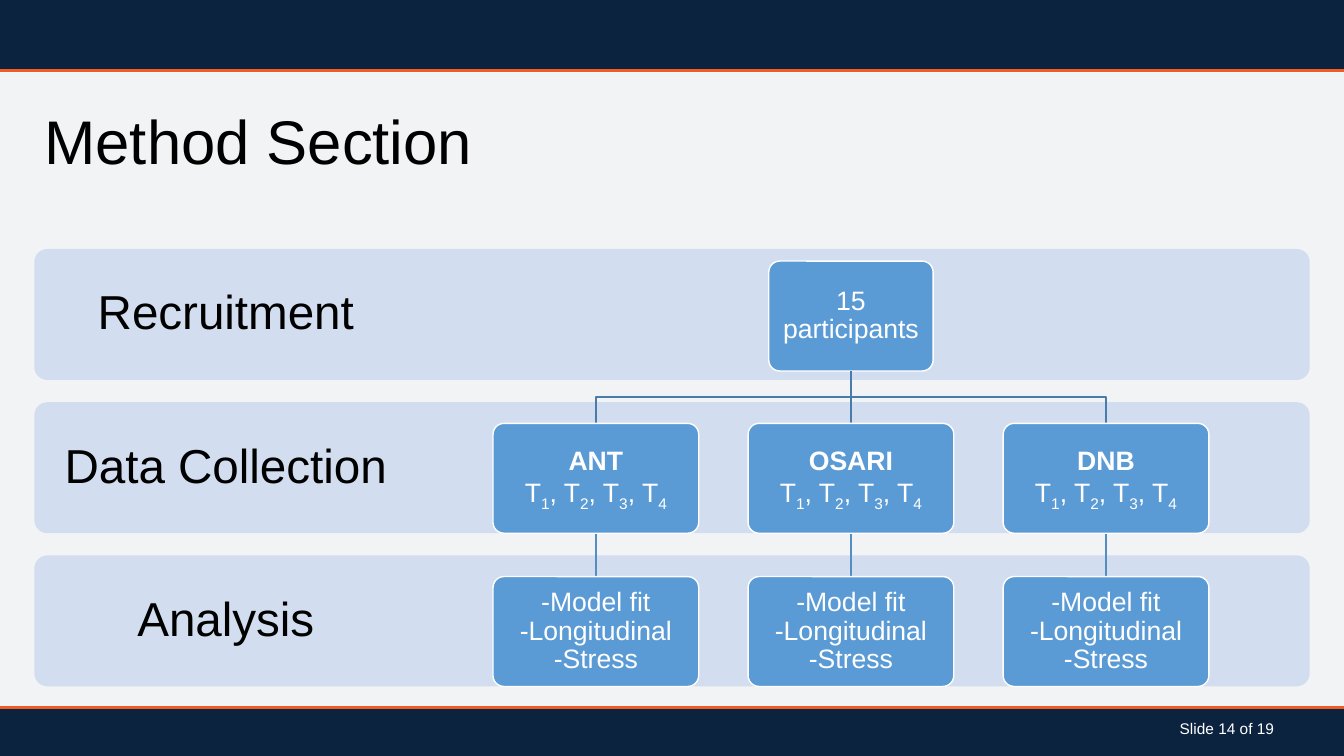
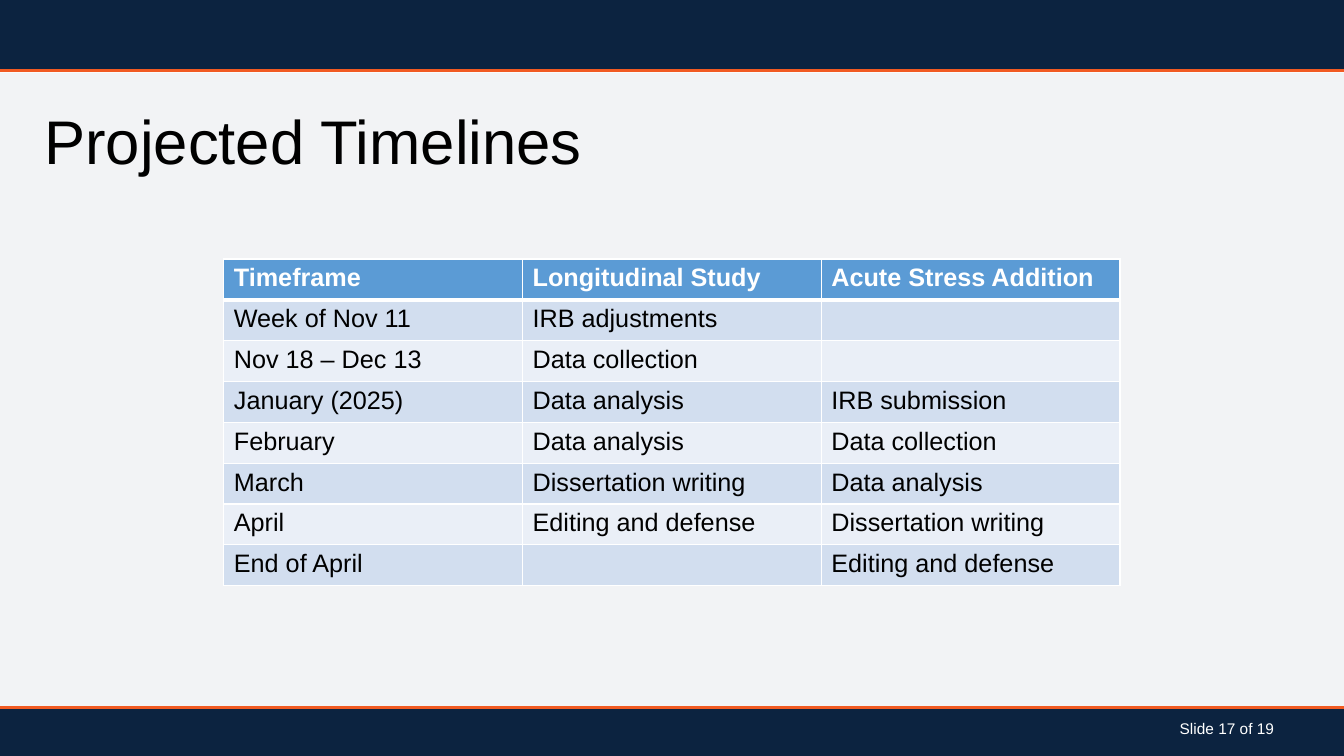
"""Build a two-slide research deck: a study-method diagram and a timeline table."""
import dataclasses

import lxml.etree
import pptx
import pptx.dml.color
import pptx.enum.shapes
import pptx.enum.text
import pptx.oxml.ns
import pptx.util

Inches = pptx.util.Inches
Pt = pptx.util.Pt
qn = pptx.oxml.ns.qn
SHAPE = pptx.enum.shapes.MSO_SHAPE
ALIGN = pptx.enum.text.PP_ALIGN
ANCHOR = pptx.enum.text.MSO_ANCHOR


@dataclasses.dataclass(frozen=True)
class Theme:
    font: str = "Arial"
    navy: str = "0C2340"
    orange: str = "F15A22"
    blue: str = "5B9BD5"
    band: str = "D2DEEF"
    pale: str = "EAEFF7"
    branch: str = "497CAB"
    stem: str = "538DC1"
    white: str = "FFFFFF"
    black: str = "000000"
    title: int = 44
    label: int = 34
    card: int = 19
    cell: int = 18
    footer: int = 11


def rgb(value):
    return pptx.dml.color.RGBColor.from_string(value)


class Deck:
    def __init__(self, theme, width=13.33, height=7.5):
        self.theme = theme
        self.width = width
        self.prs = pptx.Presentation()
        self.prs.slide_width = Inches(width)
        self.prs.slide_height = Inches(height)
        self.layout = self.prs.slide_layouts[1]
        self.s = None

    def add_slide(self, title, footer):
        t = self.theme
        self.s = self.prs.slides.add_slide(self.layout)
        self.placeholder(0, (0.34, 0.88, 12.65, 1.1), title, t.title, t.black,
                         ALIGN.LEFT, ANCHOR.MIDDLE)
        p = self.placeholder(1, (11.01, 7.1, 2.32, 0.3), footer, t.footer,
                             t.white, ALIGN.CENTER, ANCHOR.TOP)
        p.space_before = Pt(10)
        pPr = p._p.get_or_add_pPr()
        pPr.set("marL", "0")
        pPr.set("indent", "0")
        lxml.etree.SubElement(pPr, qn("a:buNone"))

    def placeholder(self, idx, box, text, size, color, align, anchor):
        sp = self.s.placeholders[idx]
        sp.left, sp.top, sp.width, sp.height = map(Inches, box)
        tf = sp.text_frame
        tf.auto_size = pptx.enum.text.MSO_AUTO_SIZE.NONE
        tf.vertical_anchor = anchor
        p = tf.paragraphs[0]
        p.alignment = align
        p.line_spacing = 0.9
        self.run(p, text, size, color)
        return p

    def run(self, p, text, size, color, bold=False, sub=False):
        r = p.add_run()
        r.text = text
        r.font.name = self.theme.font
        r.font.size = Pt(size)
        r.font.color.rgb = rgb(color)
        r.font.bold = bold
        if sub:
            r.font._element.set("baseline", "-25000")

    def shape(self, kind, box, fill, line=None):
        sp = self.s.shapes.add_shape(kind, *map(Inches, box))
        sp.shadow.inherit = False
        sp.fill.solid()
        sp.fill.fore_color.rgb = rgb(fill)
        if line:
            sp.line.color.rgb = rgb(line)
            sp.line.width = Pt(1)
        else:
            sp.line.fill.background()
        return sp

    def line(self, start, end, color, width=1):
        cn = self.s.shapes.add_connector(
            pptx.enum.shapes.MSO_CONNECTOR.STRAIGHT,
            *map(Inches, (*start, *end)))
        cn.line.color.rgb = rgb(color)
        cn.line.width = Pt(width)
        lxml.etree.SubElement(cn.element.spPr, qn("a:effectLst"))
        return cn

    def elbow(self, start, end, color):
        (x1, y1), (x2, y2) = start, end
        mid = (y1 + y2) / 2
        fb = self.s.shapes.build_freeform(Inches(x1), Inches(y1))
        fb.add_line_segments(
            [(Inches(x), Inches(y)) for x, y in ((x1, mid), (x2, mid), end)],
            close=False)
        sp = fb.convert_to_shape()
        sp.shadow.inherit = False
        sp.fill.background()
        sp.line.color.rgb = rgb(color)
        sp.line.width = Pt(1)

    def frame(self):
        t, w = self.theme, self.width
        tint = self.shape(SHAPE.RECTANGLE, (0, 0.72, w, 6.29), t.navy)
        clr = tint.element.spPr.find(".//" + qn("a:srgbClr"))
        lxml.etree.SubElement(clr, qn("a:alpha")).set("val", "5000")
        parts = [tint]
        for top, height in ((7.03, 0.47), (0, 0.69)):
            parts.append(self.shape(SHAPE.RECTANGLE, (0, top, w, height), t.navy))
        for y in (0.7, 7.02):
            parts.append(self.line((0, y), (w, y), t.orange, 2))
        for i, part in enumerate(parts):
            part.element.xpath(".//p:cNvPr")[0].set("id", str(100 + i))
            self.layout.shapes.element.insert(2 + i, part.element)

    def rounded(self, box, fill, lines, size, color, inset, right=None, line=None):
        sp = self.shape(SHAPE.ROUNDED_RECTANGLE, box, fill, line)
        sp.adjustments[0] = 0.1
        tf = sp.text_frame
        tf.word_wrap = True
        tf.vertical_anchor = ANCHOR.MIDDLE
        tf.margin_left = tf.margin_top = tf.margin_bottom = Inches(inset)
        tf.margin_right = Inches(inset if right is None else right)
        for i, runs in enumerate(lines):
            p = tf.add_paragraph() if i else tf.paragraphs[0]
            p.alignment = ALIGN.CENTER
            p.line_spacing = 0.9
            for text, style in runs:
                self.run(p, text, size, color, **style)

    def band(self, box, label, label_width):
        t = self.theme
        self.rounded(box, t.band, [[(label, {})]], t.label, t.black, 0.2,
                     right=box[2] - label_width + 0.2)

    def card(self, center, top, width, height, lines):
        t = self.theme
        self.rounded((center - width / 2, top, width, height), t.blue, lines,
                     t.card, t.white, 0.08, line=t.white)

    def border(self, cell, side, width):
        ln = lxml.etree.SubElement(cell._tc.get_or_add_tcPr(), qn("a:" + side))
        ln.set("w", str(Pt(width)))
        fill = lxml.etree.SubElement(ln, qn("a:solidFill"))
        lxml.etree.SubElement(fill, qn("a:srgbClr")).set("val", self.theme.white)

    def table(self, box, rows):
        t = self.theme
        tbl = self.s.shapes.add_table(len(rows), len(rows[0]),
                                      *map(Inches, box)).table
        tbl.horz_banding = False
        for i, row in enumerate(rows):
            head = i == 0
            fill = t.blue if head else (t.band if i % 2 else t.pale)
            widths = {"lnL": 1, "lnR": 1, "lnT": 3 if i == 1 else 1,
                      "lnB": 3 if head else 1}
            for j, text in enumerate(row):
                cell = tbl.cell(i, j)
                for side, width in widths.items():
                    self.border(cell, side, width)
                cell.fill.solid()
                cell.fill.fore_color.rgb = rgb(fill)
                if text:
                    self.run(cell.text_frame.paragraphs[0], text, t.cell,
                             t.white if head else t.black, bold=head)


def method_slide(deck):
    t = deck.theme
    deck.add_slide("Method Section", "Slide 14 of 19")
    deck.frame()
    tops = [2.47 + 1.52 * i for i in range(3)]
    for top, label in zip(tops, ("Recruitment", "Data Collection", "Analysis")):
        deck.band((0.34, top, 12.65, 1.3), label, 3.8)

    card_w, card_h = 2.04, 1.09
    root_x, root_y = 8.44, tops[0] + 0.12
    task_y, analysis_y = tops[1] + 0.21, tops[2] + 0.21
    times = []
    for n in range(1, 5):
        times += [(", T" if n > 1 else "T", {}), (str(n), {"sub": True})]
    analyses = [[(text, {})] for text in ("-Model fit", "-Longitudinal", "-Stress")]

    deck.card(root_x, root_y, 1.63, card_h, [[("15 participants", {})]])
    for i, task in enumerate(("ANT", "OSARI", "DNB")):
        x = root_x + 2.53 * (i - 1)
        link = deck.line if x == root_x else deck.elbow
        link((root_x, root_y + card_h), (x, task_y), t.branch)
        deck.line((x, task_y + card_h), (x, analysis_y), t.stem)
        deck.card(x, task_y, card_w, card_h, [[(task, {"bold": True})], times])
        deck.card(x, analysis_y, card_w, card_h, analyses)


def timeline_slide(deck):
    deck.add_slide("Projected Timelines", "Slide 17 of 19")
    deck.table((2.22, 2.57, 8.89, 3.24), [
        ("Timeframe", "Longitudinal Study", "Acute Stress Addition"),
        ("Week of Nov 11", "IRB adjustments", ""),
        ("Nov 18 – Dec 13", "Data collection", ""),
        ("January (2025)", "Data analysis", "IRB submission"),
        ("February", "Data analysis", "Data collection"),
        ("March", "Dissertation writing", "Data analysis"),
        ("April", "Editing and defense", "Dissertation writing"),
        ("End of April", "", "Editing and defense"),
    ])


def main():
    deck = Deck(Theme())
    method_slide(deck)
    timeline_slide(deck)
    deck.prs.save("out.pptx")


if __name__ == "__main__":
    main()
